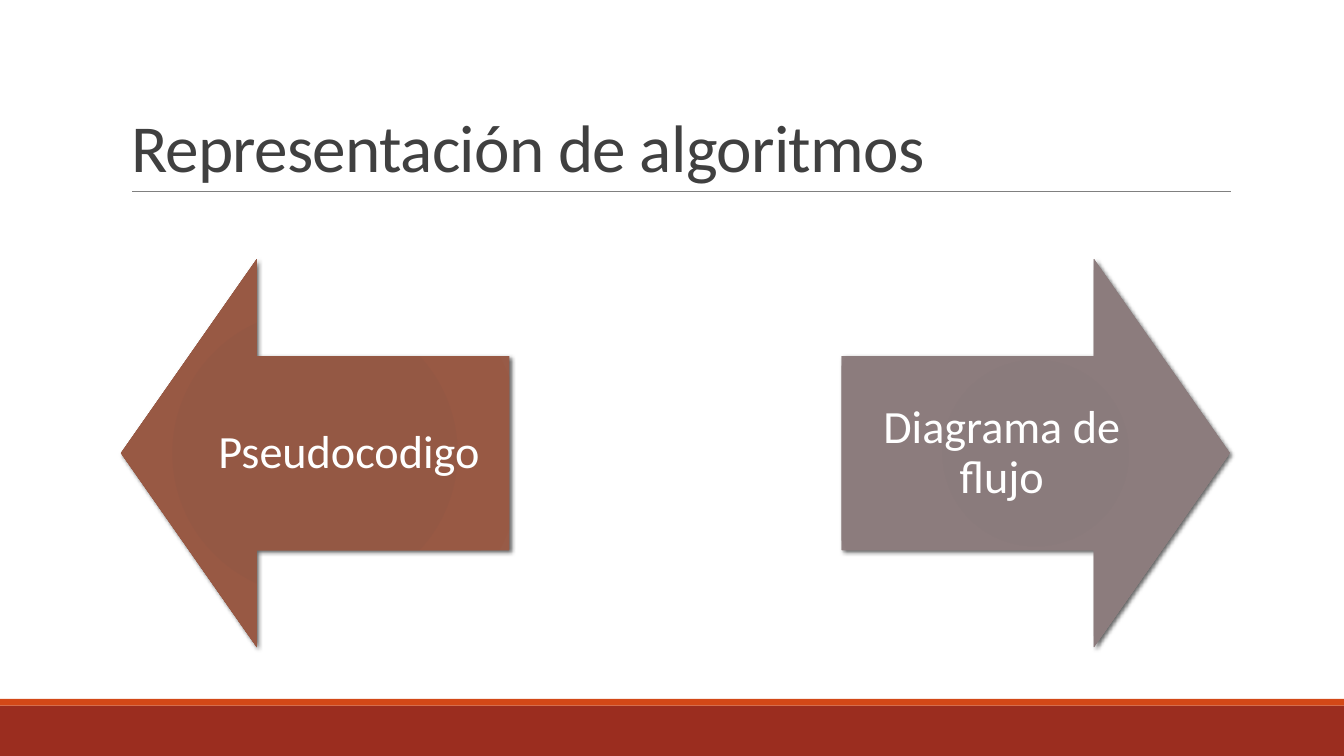
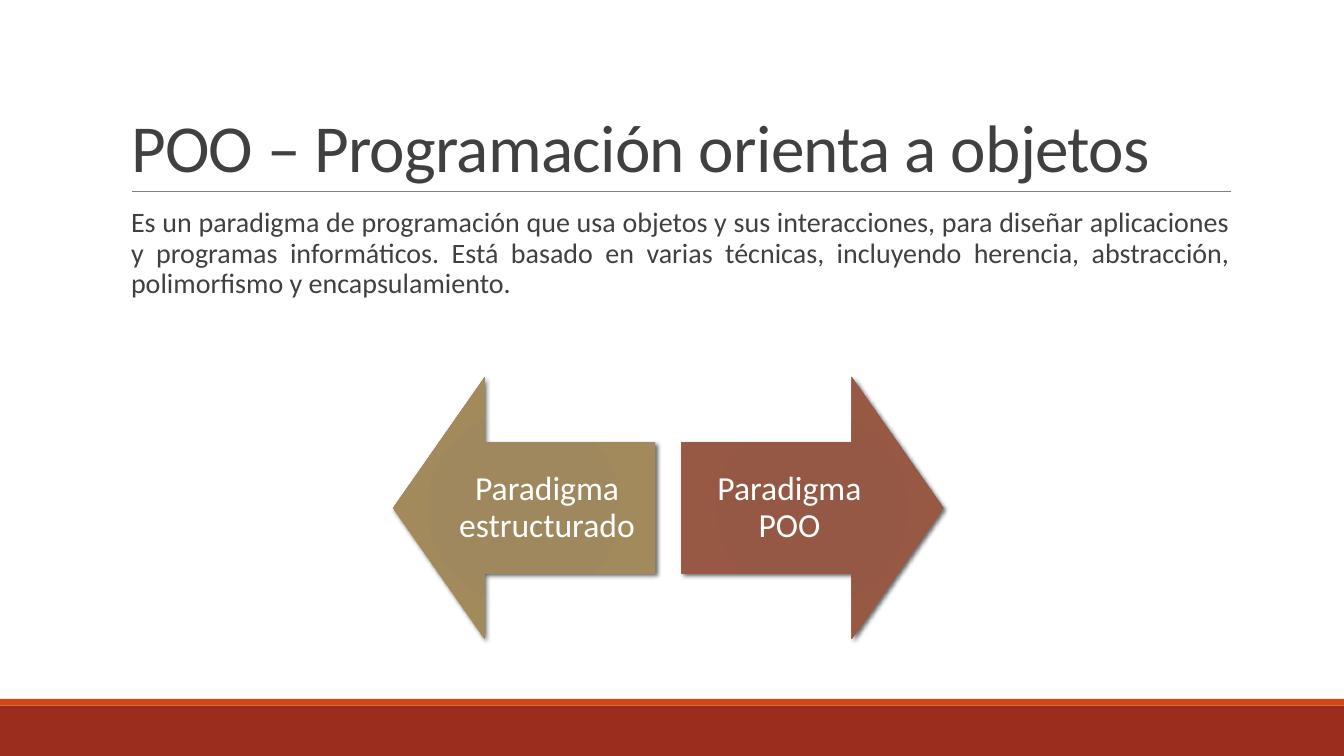
from pptx import Presentation
from pptx.dml.color import RGBColor
from pptx.enum.shapes import MSO_CONNECTOR, MSO_SHAPE
from pptx.enum.text import MSO_ANCHOR, MSO_AUTO_SIZE, PP_ALIGN
from pptx.oxml import parse_xml
from pptx.oxml.ns import nsdecls, qn
from pptx.util import Emu, Pt

FONT = "Calibri"
WHITE = RGBColor(0xFF, 0xFF, 0xFF)
INK = RGBColor(0x40, 0x40, 0x40)
RULE_GREY = RGBColor(0x80, 0x80, 0x80)
BRICK = RGBColor(0x9B, 0x2D, 0x1F)
ORANGE = RGBColor(0xD3, 0x48, 0x17)
RUST = (RGBColor(0x94, 0x57, 0x42), RGBColor(0x94, 0x58, 0x44),
        RGBColor(0x98, 0x59, 0x44), RGBColor(0x98, 0x60, 0x4E))
MAUVE = (RGBColor(0x89, 0x79, 0x7A), RGBColor(0x8A, 0x7B, 0x7C),
         RGBColor(0x8C, 0x7C, 0x7D), RGBColor(0x92, 0x83, 0x84))
SAND = (RGBColor(0x9F, 0x87, 0x5B), RGBColor(0x9F, 0x88, 0x5D),
        RGBColor(0xA3, 0x8A, 0x5D), RGBColor(0xA5, 0x8F, 0x67))
STOPS = (0, 34, 70, 100)

WIDTH, HEIGHT = Emu(12192000), Emu(6858000)
COLUMNS, ROWS = 200, 112.5
LEFT, SPAN = 18, 165

SLIDES = [
    {
        "layout": 5,
        "title": "Representación de algoritmos",
        "arrows": [("Pseudocodigo", RUST), ("Diagrama de flujo", MAUVE)],
        "left": LEFT, "top": 38.55, "side": 57.75, "gap": 49.5,
        "inset": 3.9, "size": 33,
    },
    {
        "layout": 1,
        "title": "POO – Programación orienta a objetos",
        "body": "Es un paradigma de programación que usa objetos y sus "
                "interacciones, para diseñar aplicaciones y programas "
                "informáticos. Está basado en varias técnicas, incluyendo "
                "herencia, abstracción, polimorfismo y encapsulamiento.",
        "arrows": [("Paradigma estructurado", SAND), ("Paradigma POO", RUST)],
        "left": 58.5, "top": 56.1, "side": 39, "gap": 3.9,
        "inset": 2.85, "size": 24,
    },
]


def grid(*cells):
    return [Emu(round(cell * WIDTH / COLUMNS)) for cell in cells]


def write(shape, text, size, color, align, spacing, anchor, insets):
    frame = shape.text_frame
    frame.text = text
    frame.word_wrap = True
    frame.auto_size = MSO_AUTO_SIZE.NONE
    frame.vertical_anchor = anchor
    (frame.margin_left, frame.margin_top,
     frame.margin_right, frame.margin_bottom) = grid(*insets)
    paragraph = frame.paragraphs[0]
    paragraph.alignment = align
    paragraph.line_spacing = spacing
    font = paragraph.runs[0].font
    font.name, font.size, font.color.rgb = FONT, Pt(size), color
    return paragraph


deck = Presentation()
deck.slide_width, deck.slide_height = WIDTH, HEIGHT
pages = [deck.slides.add_slide(deck.slide_layouts[content["layout"]])
         for content in SLIDES]

drawing = pages[0].shapes
shared = []
for top, bottom, color in ((105, ROWS, BRICK), (104, 105, ORANGE)):
    band = drawing.add_shape(MSO_SHAPE.RECTANGLE,
                             *grid(0, top, COLUMNS, bottom - top))
    band.shadow.inherit = False
    band.fill.solid()
    band.fill.fore_color.rgb = color
    band.line.fill.background()
    shared.append(band)
rule = drawing.add_connector(MSO_CONNECTOR.STRAIGHT,
                             *grid(19.65, 28.5, 183.15, 28.5))
rule.line.color.rgb = RULE_GREY
rule.line.width = Pt(0.5)
rule.element.spPr.append(parse_xml(f'<a:effectLst {nsdecls("a")}/>'))
shared.append(rule)
for number, part in enumerate(shared, 101):
    part.element.xpath(".//p:cNvPr")[0].set("id", str(number))
    deck.slide_master.shapes.element.append(part.element)

for page, content in zip(pages, SLIDES):
    title = page.shapes.title
    title.left, title.top, title.width, title.height = grid(LEFT, 4.65, SPAN, 23.85)
    heading = write(title, content["title"], 48, INK, PP_ALIGN.LEFT, 0.85,
                    MSO_ANCHOR.BOTTOM, (1.5, 0.75, 1.5, 0.75))
    heading.runs[0].font._element.set("spc", "-50")

    if "body" in content:
        body = page.placeholders[1]
        body.left, body.top, body.width, body.height = grid(LEFT, 30.3, SPAN, 66)
        definition = write(body, content["body"], 20, INK, PP_ALIGN.JUSTIFY, 0.9,
                           MSO_ANCHOR.TOP, (0, 0.75, 0, 0.75))
        definition.space_before, definition.space_after = Pt(12), Pt(2)
        properties = definition._p.get_or_add_pPr()
        properties.set("marL", str(grid(1.5)[0]))
        properties.set("indent", "0")
        properties.append(parse_xml(f'<a:buNone {nsdecls("a")}/>'))

    side = content["side"]
    directions = (MSO_SHAPE.LEFT_ARROW, MSO_SHAPE.RIGHT_ARROW)
    for index, (label, shades) in enumerate(content["arrows"]):
        left = content["left"] + index * (side + content["gap"])
        arrow = page.shapes.add_shape(directions[index],
                                      *grid(left, content["top"], side, side))
        arrow.adjustments[0], arrow.adjustments[1] = 0.5, 0.35
        arrow.fill.background()
        arrow.line.fill.background()
        arrow.shadow.inherit = False
        stops = "".join(
            f'<a:gs pos="{stop * 1000}"><a:srgbClr val="{shade}"/></a:gs>'
            for stop, shade in zip(STOPS, shades))
        outline = arrow.element.spPr
        outline.replace(outline.find(qn("a:noFill")), parse_xml(
            f'<a:gradFill {nsdecls("a")} rotWithShape="1"><a:gsLst>{stops}</a:gsLst>'
            '<a:path path="circle"><a:fillToRect l="100000" t="100000" '
            'r="100000" b="100000"/></a:path></a:gradFill>'))
        outline.find(qn("a:effectLst")).append(parse_xml(
            f'<a:outerShdw {nsdecls("a")} blurRad="{Pt(3)}" dist="{Pt(2)}" '
            'dir="2700000" rotWithShape="0"><a:srgbClr val="000000">'
            '<a:alpha val="60000"/></a:srgbClr></a:outerShdw>'))
        write(arrow, label, content["size"], WHITE, PP_ALIGN.CENTER, 0.9,
              MSO_ANCHOR.MIDDLE, [content["inset"]] * 4)

deck.save("out.pptx")
